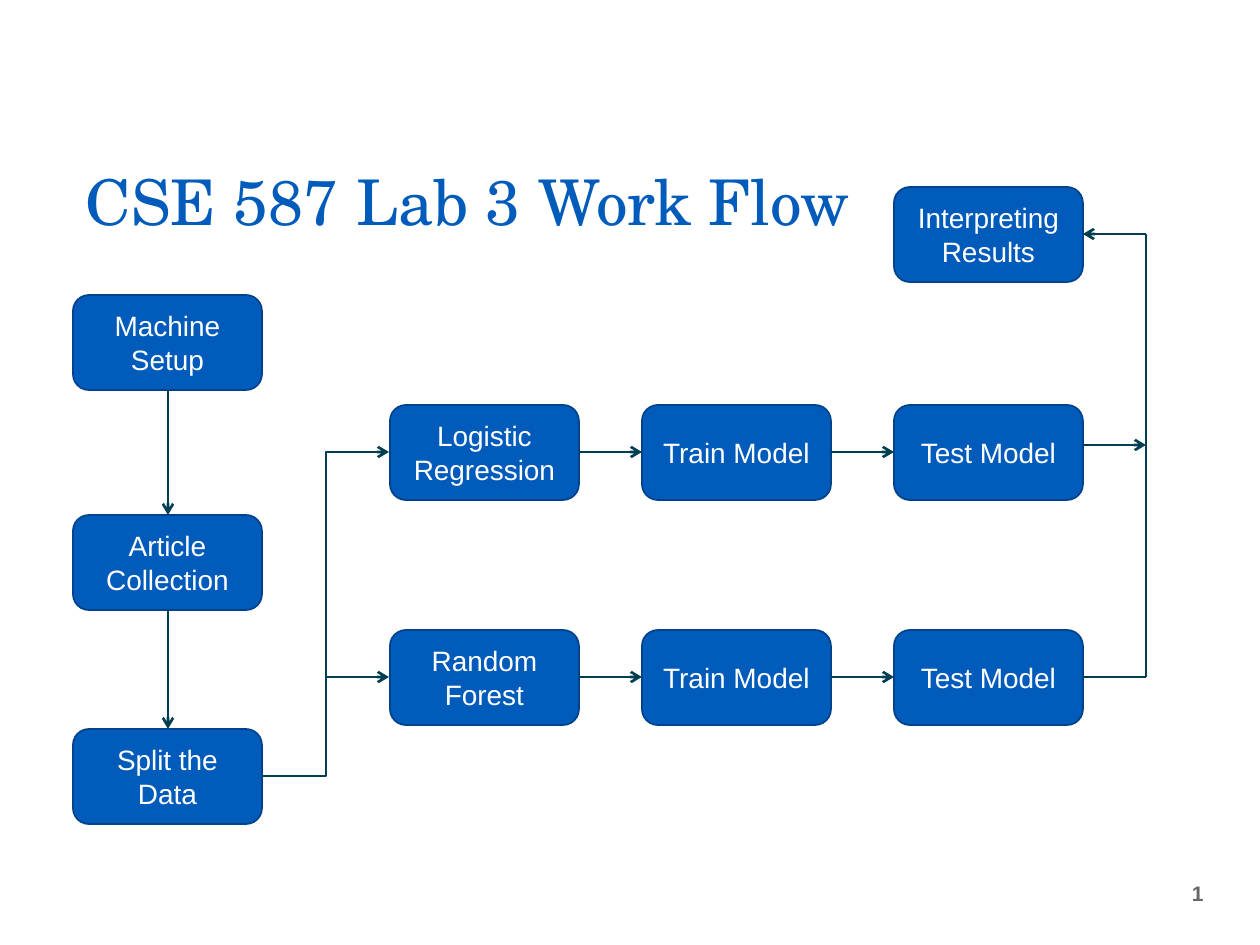
"""Build the lab work flow slide."""
from lxml.etree import SubElement
from pptx import Presentation
from pptx.dml.color import RGBColor
from pptx.enum.shapes import MSO_CONNECTOR as Link, MSO_SHAPE as Shape
from pptx.enum.text import MSO_ANCHOR as Anchor, MSO_AUTO_SIZE as AutoSize, PP_ALIGN as Align
from pptx.oxml.ns import qn
from pptx.util import Emu, Pt

BLUE = RGBColor(0x00, 0x5B, 0xBB)
EDGE = RGBColor(0x00, 0x43, 0x8A)
TEAL = RGBColor(0x00, 0x3E, 0x51)
GRAY = RGBColor(0x66, 0x66, 0x66)
WHITE = RGBColor(0xFF, 0xFF, 0xFF)
PX = 914400 / 126
BOX_W, BOX_H = 189, 95


def px(*lengths):
    return [Emu(round(length * PX)) for length in lengths]


def write(box, text, size=16, font="Arial", color=WHITE, bold=False,
          align=Align.CENTER, anchor=Anchor.MIDDLE, spacing=None):
    frame = box.text_frame
    frame.word_wrap = True
    frame.auto_size = AutoSize.NONE
    frame.vertical_anchor = anchor
    para = frame.paragraphs[0]
    para.alignment = align
    para.line_spacing = spacing
    span = para.add_run()
    span.text = text
    span.font.size = Pt(size)
    span.font.name = font
    span.font.bold = bold
    span.font.color.rgb = color


deck = Presentation()
deck.slide_width, deck.slide_height = px(1260, 945)
page = deck.slides.add_slide(deck.slide_layouts[5])

title = page.shapes.title
title.left, title.top, title.width, title.height = px(73, 146, 1086, 98)
write(title, "CSE 587 Lab 3 Work Flow", size=36, font="TeX Gyre Schola",
      color=BLUE, align=Align.LEFT, anchor=Anchor.BOTTOM, spacing=0.8)

number = page.shapes.add_textbox(*px(1142, 857, 74, 73))
write(number, "1", size=12, color=GRAY, bold=True, align=Align.RIGHT)

steps = [
    ("Machine Setup", 73, 295),
    ("Article Collection", 73, 515),
    ("Split the Data", 73, 729),
    ("Interpreting Results", 894, 187),
]
for model, top in (("Logistic Regression", 405), ("Random Forest", 630)):
    for column, label in enumerate((model, "Train Model", "Test Model")):
        steps.append((label, 390 + 252 * column, top))

for label, left, top in steps:
    step = page.shapes.add_shape(Shape.ROUNDED_RECTANGLE, *px(left, top, BOX_W, BOX_H))
    step.shadow.inherit = False
    step.fill.solid()
    step.fill.fore_color.rgb = BLUE
    step.line.color.rgb = EDGE
    step.line.width = Pt(1)
    write(step, label)

links = [
    (Link.STRAIGHT, 168, 390, 168, 515, True),
    (Link.STRAIGHT, 168, 610, 168, 729, True),
    (Link.ELBOW, 263, 776, 389, 452, True),
    (Link.STRAIGHT, 326, 677, 389, 677, True),
    (Link.STRAIGHT, 1083, 677, 1146, 677, False),
    (Link.STRAIGHT, 1146, 677, 1146, 234, False),
    (Link.STRAIGHT, 1083, 445, 1146, 445, True),
    (Link.STRAIGHT, 1146, 234, 1083, 234, True),
]
for middle in (452, 677):
    for start in (579, 831):
        links.append((Link.STRAIGHT, start, middle, start + 63, middle, True))

for kind, x1, y1, x2, y2, has_arrow in links:
    link = page.shapes.add_connector(kind, *px(x1, y1, x2, y2))
    link.line.color.rgb = TEAL
    link.line.width = Pt(1.5)
    properties = link.element.spPr
    if has_arrow:
        SubElement(properties.find(qn("a:ln")), qn("a:tailEnd"), type="arrow")
    SubElement(properties, qn("a:effectLst"))

deck.save("out.pptx")
